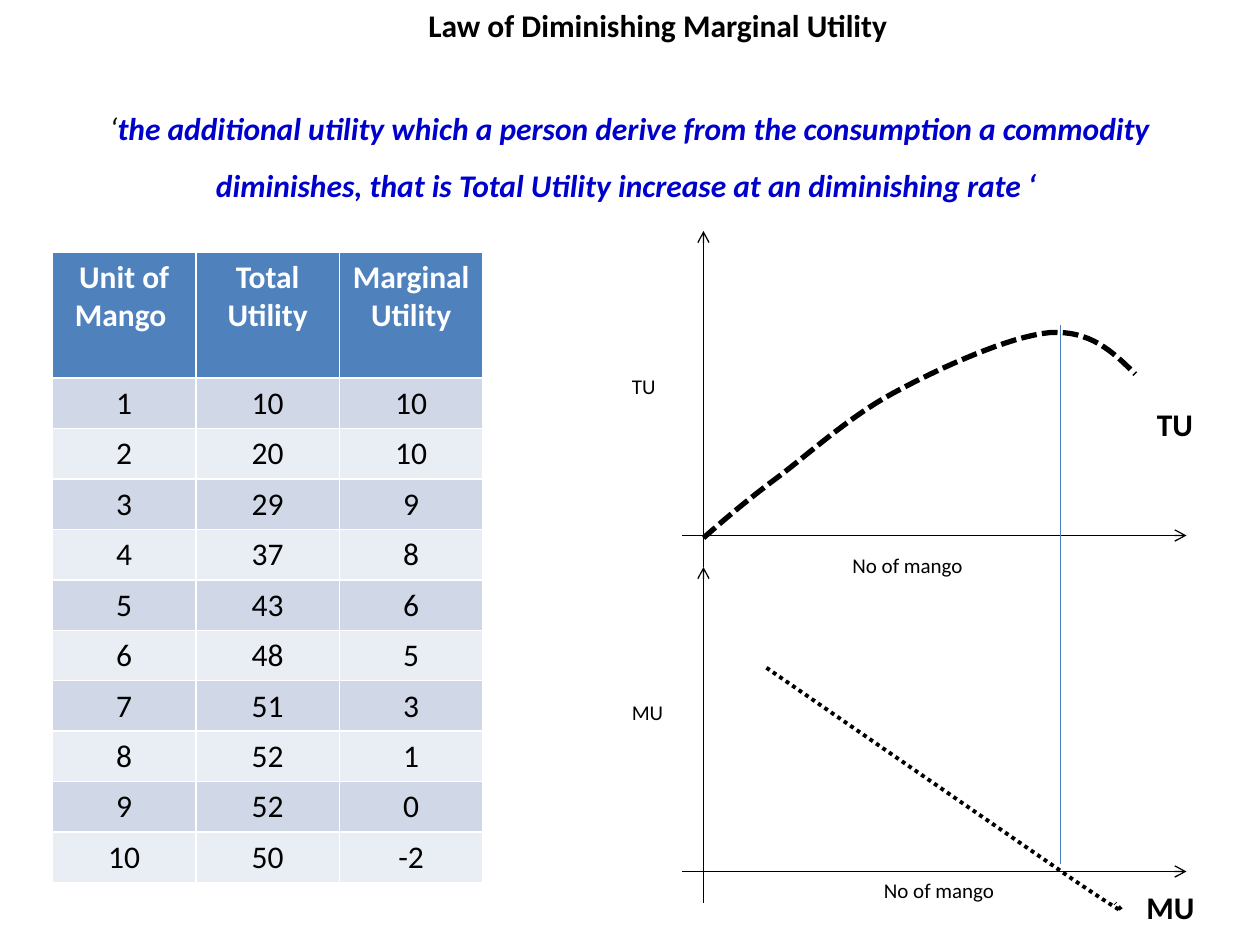
from lxml import etree
from pptx import Presentation
from pptx.dml.color import RGBColor
from pptx.enum.dml import MSO_LINE
from pptx.enum.shapes import MSO_CONNECTOR
from pptx.enum.text import MSO_ANCHOR, PP_ALIGN
from pptx.oxml.ns import qn
from pptx.util import Pt

DASH, DOT = MSO_LINE.SQUARE_DOT, MSO_LINE.ROUND_DOT
STRAIGHT = MSO_CONNECTOR.STRAIGHT
TOP = MSO_ANCHOR.TOP
LEFT, CENTER = PP_ALIGN.LEFT, PP_ALIGN.CENTER

BLACK, WHITE, QUOTE, LINK = "000000", "FFFFFF", "0000CC", "4B7EBC"
HEAD, BANDS = "4F81BD", ("D0D8E8", "E9EDF4")

ROWS = [
    ("Unit of Mango ", "Total Utility", "Marginal Utility"),
    (1, 10, 10), (2, 20, 10), (3, 29, 9), (4, 37, 8), (5, 43, 6),
    (6, 48, 5), (7, 51, 3), (8, 52, 1), (9, 52, 0), (10, 50, -2),
]

TOTAL = [
    (12, 175.4), (22.6, 166.1), (33.4, 156.7), (51.4, 143),
    (70.1, 129.4), (93.8, 107), (120.5, 92.6),
    (147.1, 78.2), (186.7, 60.2), (209.8, 58.1),
    (232.8, 56.6), (245.8, 68.9), (258.7, 81.8),
]
MARGIN = [
    (48, 57.6), (106.7, 98.2), (165.5, 138.7), (224.2, 179.3),
    (257.3, 201.6), (252.2, 197.3), (247.2, 192.2),
]


def tint(code):
    return RGBColor.from_string(code)


def style(font, color=BLACK, **extra):
    form = {"name": "Calibri", "size": Pt(18), "bold": False, **extra}
    for key, value in form.items():
        setattr(font, key, value)
    font.color.rgb = tint(color)


def write(para, text, align=CENTER, **form):
    para.alignment = align
    run = para.add_run()
    run.text = text
    style(run.font, **form)


def place(shape, box):
    for key, value in zip(("left", "top", "width", "height"), box):
        setattr(shape, key, Pt(value))


def title(slide, box):
    shape = slide.shapes.title
    place(shape, box)
    frame = shape.text_frame
    frame.vertical_anchor = TOP
    para = frame.paragraphs[0]
    write(para, "Law of Diminishing Marginal Utility ", bold=True)
    props = para._p.get_or_add_pPr()
    props.set("marL", str(Pt(36.72)))
    props.set("indent", str(Pt(-0.72)))


def quote(slide, box):
    frame = slide.shapes.add_textbox(*map(Pt, box)).text_frame
    frame.word_wrap = True
    para = frame.paragraphs[0]
    para.line_spacing = 1.5
    write(para, "‘", italic=True)
    write(para, "the additional utility which a person derive from the "
          "consumption a commodity diminishes, that is Total Utility "
          "increase at an diminishing rate ‘ ",
          color=QUOTE, bold=True, italic=True)


def table(slide, box):
    shape = slide.shapes.add_table(len(ROWS), len(ROWS[0]), *map(Pt, box))
    grid = shape.table
    first = 72
    for col in grid.columns:
        col.width = Pt(box[2] / len(ROWS[0]))
    for num, values in enumerate(ROWS):
        rest = (box[3] - first) / (len(ROWS) - 1)
        grid.rows[num].height = Pt(rest if num else first)
        for col, value in enumerate(values):
            cell = grid.cell(num, col)
            cell.fill.solid()
            cell.fill.fore_color.rgb = tint(BANDS[(num - 1) % 2] if num else HEAD)
            write(cell.text_frame.paragraphs[0], str(value),
                  color=BLACK if num else WHITE, bold=not num)


def line(slide, start, end, color=BLACK, arrow=False):
    shape = slide.shapes.add_connector(STRAIGHT, *map(Pt, (*start, *end)))
    shape.line.width = Pt(0.75)
    shape.line.color.rgb = tint(color)
    props = shape._element.spPr
    if arrow:
        etree.SubElement(props.find(qn("a:ln")), qn("a:headEnd"), type="arrow")
    etree.SubElement(props, qn("a:effectLst"))


def trace(knots, steps=16):
    spots = [knots[0]]
    for num in range(0, len(knots) - 1, 3):
        part = knots[num:num + 4]
        for step in range(1, steps + 1):
            t = step / steps
            mix = ((1 - t) ** 3, 3 * t * (1 - t) ** 2, 3 * t * t * (1 - t), t ** 3)
            spots.append(tuple(sum(m * p[axis] for m, p in zip(mix, part))
                               for axis in (0, 1)))
    return spots


def curve(slide, left, top, knots, width, dash):
    spots = [(Pt(left + x), Pt(top + y)) for x, y in trace(knots)]
    build = slide.shapes.build_freeform(*spots[0])
    build.add_line_segments(spots[1:], close=False)
    shape = build.convert_to_shape()
    shape.shadow.inherit = False
    shape.fill.background()
    shape.line.color.rgb = tint(BLACK)
    shape.line.width = Pt(width)
    shape.line.dash_style = dash


def label(slide, box, text, **form):
    frame = slide.shapes.add_textbox(*map(Pt, box)).text_frame
    frame.word_wrap = False
    write(frame.paragraphs[0], text, LEFT, **form)


def graph(slide, box, name, knots, width, dash, side, under, tag):
    left, top, wide, high = box
    cross, base = left + 12, top + 174
    line(slide, (cross, top), (cross, top + high), arrow=True)
    line(slide, (left + wide, base), (left, base), arrow=True)
    curve(slide, left, top, knots, width, dash)
    label(slide, (left - 36, top + side, 42, 21.6), name, size=Pt(12))
    label(slide, (left + under[0], top + under[1], 84, 21.6),
          "No of mango", size=Pt(12))
    label(slide, (left + tag[0], top + tag[1], 42, 28.8), name, bold=True)


def main():
    deck = Presentation()
    deck.slide_width, deck.slide_height = Pt(720), Pt(540)
    slide = deck.slides.add_slide(deck.slide_layouts[5])
    title(slide, (0, 0, 720, 28.8))
    quote(slide, (24, 48, 672, 105))
    table(slide, (30, 144, 246, 360))
    graph(slide, (390, 132, 288, 192), "TU", TOTAL, 3, DASH,
          78, (90, 180), (264, 96))
    graph(slide, (390, 324, 288, 192), "MU", MARGIN, 2.25, DOT,
          72, (108, 174), (258, 180))
    line(slide, (606, 186), (606, 494), LINK)
    deck.save("out.pptx")


if __name__ == "__main__":
    main()
